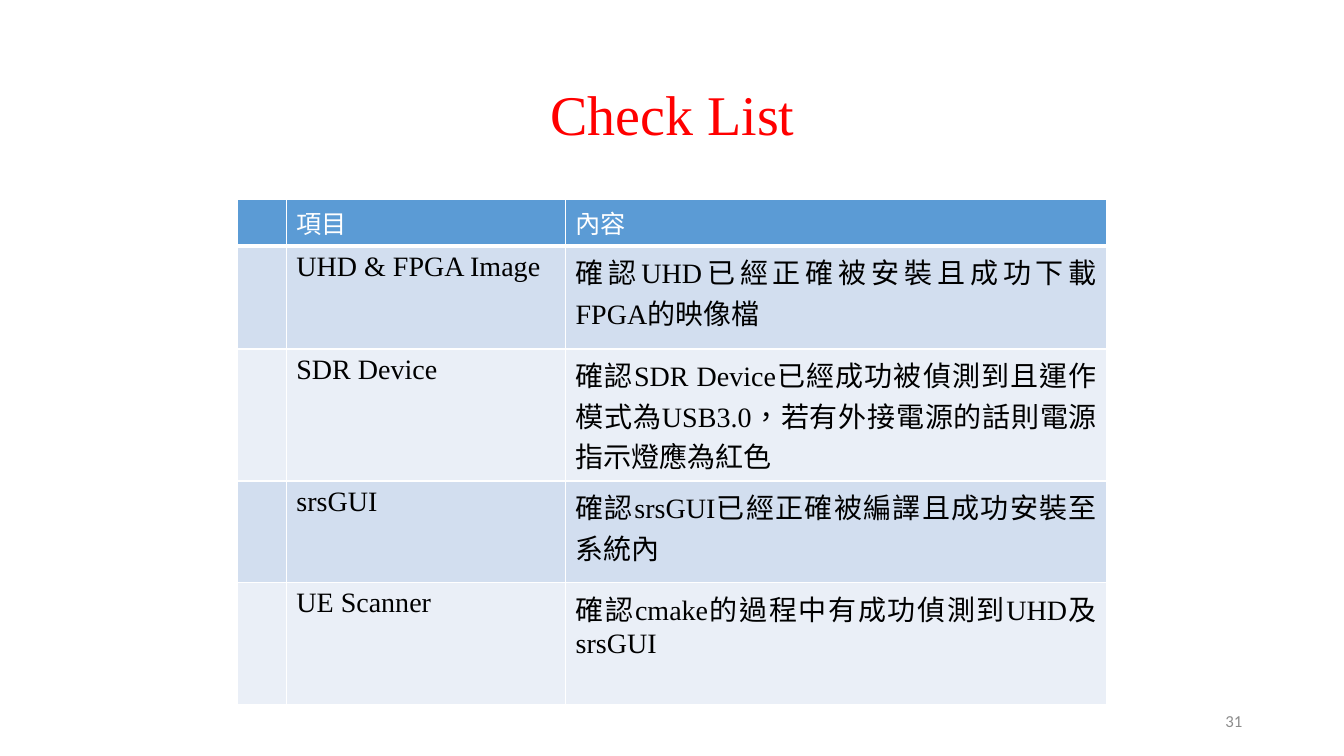
from dataclasses import dataclass
from lxml import etree
from pptx import Presentation
from pptx.dml.color import RGBColor
from pptx.enum import lang, text
from pptx.oxml import ns
from pptx.util import Inches, Pt

SERIF = "Times New Roman"
WHITE = "FFFFFF"
HEADER_FILL = "5B9BD5"
BAND_FILLS = ("D2DEEF", "EAEFF7")
COLUMN_WIDTHS = (0.49, 2.77, 5.37)


@dataclass
class Style:
    size: float
    color: str
    font: str = SERIF
    align: text.PP_ALIGN = text.PP_ALIGN.LEFT


@dataclass
class Check:
    item: str
    content: str
    height: float


@dataclass
class Label:
    wording: str
    left: float
    top: float
    width: float
    height: float
    style: Style


HEADING = Style(18, WHITE)
ITEM = Style(20, "000000")
CONTENT = Style(20, "000000", align=text.PP_ALIGN.JUSTIFY)

LABELS = (
    Label("Check List", 0.92, 0.4, 11.5, 1.45,
          Style(40, "FF0000", align=text.PP_ALIGN.CENTER)),
    Label("31", 9.42, 6.95, 3, 0.4,
          Style(12, "8C8C8C", "Calibri", text.PP_ALIGN.RIGHT)),
)

CHECKS = (
    Check("項目", "內容", 0.45),
    Check("UHD & FPGA Image", "確認UHD已經正確被安裝且成功下載FPGA的映像檔", 1.02),
    Check("SDR Device",
          "確認SDR Device已經成功被偵測到且運作模式為USB3.0，若有外接電源的話則電源指示燈應為紅色", 1.31),
    Check("srsGUI", "確認srsGUI已經正確被編譯且成功安裝至系統內", 1.01),
    Check("UE Scanner", "確認cmake的過程中有成功偵測到UHD及srsGUI", 1.21),
)


def rgb(value: str) -> RGBColor:
    return RGBColor.from_string(value)


def write(frame, wording: str, style: Style) -> None:
    frame.text = wording
    paragraph = frame.paragraphs[0]
    paragraph.alignment = style.align
    for run in paragraph.runs:
        run.font.name = style.font
        run.font.size = Pt(style.size)
        run.font.bold = False
        run.font.color.rgb = rgb(style.color)
        run.font.language_id = lang.MSO_LANGUAGE_ID.TRADITIONAL_CHINESE


def add_label(slide, label: Label) -> None:
    box = slide.shapes.add_textbox(
        Inches(label.left), Inches(label.top), Inches(label.width), Inches(label.height))
    box.text_frame.word_wrap = True
    box.text_frame.vertical_anchor = text.MSO_ANCHOR.MIDDLE
    write(box.text_frame, label.wording, label.style)


def add_borders(cell, bottom: float, top: float) -> None:
    properties = cell._tc.get_or_add_tcPr()
    widths = {"a:lnL": 1, "a:lnR": 1, "a:lnT": top, "a:lnB": bottom}
    for position, (tag, width) in enumerate(widths.items()):
        line = etree.Element(ns.qn(tag), w=str(Pt(width)))
        fill = etree.SubElement(line, ns.qn("a:solidFill"))
        etree.SubElement(fill, ns.qn("a:srgbClr"), val=WHITE)
        properties.insert(position, line)


def add_checklist(slide) -> None:
    table = slide.shapes.add_table(
        len(CHECKS), len(COLUMN_WIDTHS), Inches(2.35), Inches(1.98),
        Inches(sum(COLUMN_WIDTHS)), Inches(sum(check.height for check in CHECKS))).table
    for column, width in zip(table.columns, COLUMN_WIDTHS):
        column.width = Inches(width)
    for index, (row, check) in enumerate(zip(table.rows, CHECKS)):
        row.height = Inches(check.height)
        is_header = index == 0
        fill = HEADER_FILL if is_header else BAND_FILLS[(index - 1) % 2]
        for cell in row.cells:
            cell.fill.solid()
            cell.fill.fore_color.rgb = rgb(fill)
            add_borders(cell, bottom=3 if is_header else 1, top=3 if index == 1 else 1)
        write(row.cells[1].text_frame, check.item, HEADING if is_header else ITEM)
        write(row.cells[2].text_frame, check.content, HEADING if is_header else CONTENT)


def main() -> None:
    deck = Presentation()
    deck.slide_width = Inches(13.33)
    deck.slide_height = Inches(7.5)
    slide = deck.slides.add_slide(deck.slide_layouts[6])
    add_checklist(slide)
    for label in LABELS:
        add_label(slide, label)
    deck.save("out.pptx")


if __name__ == "__main__":
    main()
